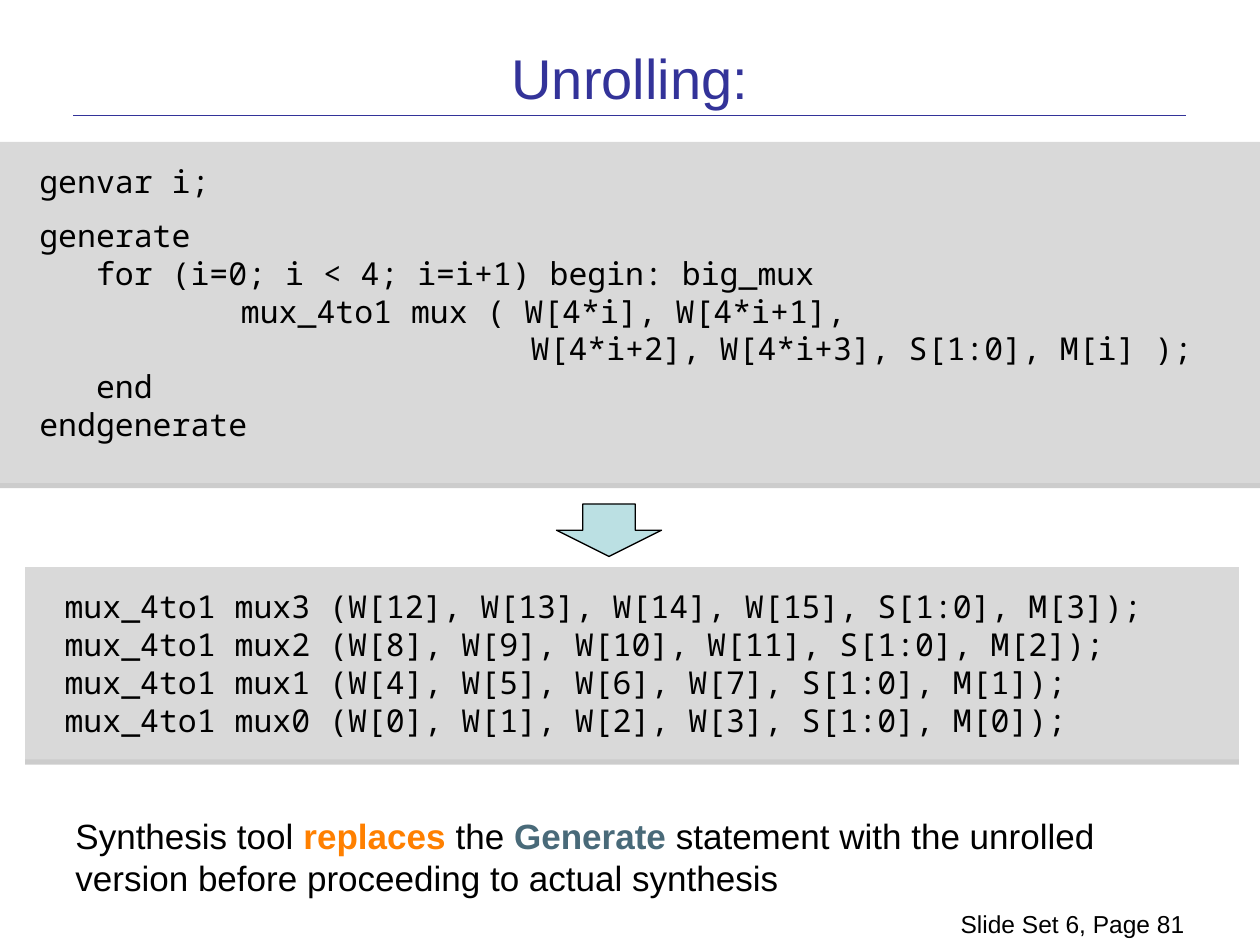
from lxml.etree import SubElement
from pptx import Presentation
from pptx.dml.color import RGBColor
from pptx.enum.shapes import MSO_CONNECTOR as Connector, MSO_SHAPE as Shape
from pptx.enum.text import MSO_ANCHOR as Anchor, PP_ALIGN as Align
from pptx.oxml import parse_xml
from pptx.oxml.ns import nsdecls, qn
from pptx.util import Pt

CHAR = 10.8  # width of one code character at 18 pt


def color(hex_code):
    return RGBColor.from_string(hex_code)


class SlideBuilder:
    sans, mono = "Arial", "Noto Sans Mono"
    black, navy, grey = "000000", "333399", "D9D9D9"

    def __init__(self, slide):
        self.slide = slide

    def style(self, paragraph, font, size, hex_code, align=Align.LEFT):
        paragraph.alignment = align
        paragraph.font.name = font
        paragraph.font.size = Pt(size)
        paragraph.font.color.rgb = color(hex_code)

    def title(self, text, left, top, width, height):
        title = self.slide.shapes.title
        title.left, title.top = Pt(left), Pt(top)
        title.width, title.height = Pt(width), Pt(height)
        title.text_frame.text = text
        title.text_frame.vertical_anchor = Anchor.MIDDLE
        self.style(title.text_frame.paragraphs[0], self.sans, 32, self.navy, Align.CENTER)

    def rule(self, left, right, y):
        rule = self.slide.shapes.add_connector(
            Connector.STRAIGHT, Pt(left), Pt(y), Pt(right), Pt(y))
        rule.line.color.rgb = color(self.navy)
        rule.line.width = Pt(0.75)
        SubElement(rule._element.spPr, qn("a:effectLst"))

    def shape(self, kind, fill, left, top, width, height):
        shape = self.slide.shapes.add_shape(kind, Pt(left), Pt(top), Pt(width), Pt(height))
        shape.shadow.inherit = False
        shape.fill.solid()
        shape.fill.fore_color.rgb = color(fill)
        return shape

    def code(self, lines, left, top, width, height):
        """Each line is (text, indent, space before), both lengths in points."""
        panel = self.shape(Shape.RECTANGLE, self.grey, left, top, width, height)
        panel.line.fill.background()
        effects = panel._element.spPr.find(qn("a:effectLst"))
        effects.append(parse_xml(
            f'<a:outerShdw {nsdecls("a")} blurRad="0" dist="{Pt(3)}" dir="5400000" '
            'algn="t" rotWithShape="0"><a:srgbClr val="808080">'
            '<a:alpha val="40000"/></a:srgbClr></a:outerShdw>'))
        frame = panel.text_frame
        frame.word_wrap = True
        frame.vertical_anchor = Anchor.TOP
        frame.margin_left = frame.margin_right = Pt(22.5)
        frame.margin_top = frame.margin_bottom = Pt(11.5)
        for number, (text, indent, gap) in enumerate(lines):
            line = frame.add_paragraph() if number else frame.paragraphs[0]
            line.text = text
            line.space_before = Pt(gap)
            line._p.get_or_add_pPr().set("marL", str(Pt(indent)))
            self.style(line, self.mono, 18, self.black)

    def arrow(self, left, top, width, height):
        arrow = self.shape(Shape.DOWN_ARROW, "BBE0E3", left, top, width, height)
        arrow.line.color.rgb = color(self.black)
        arrow.line.width = Pt(0.75)

    def text(self, runs, size, left, top, width, height, align=Align.LEFT, gap=0):
        """Each run is (text, highlight color or None)."""
        box = self.slide.shapes.add_textbox(Pt(left), Pt(top), Pt(width), Pt(height))
        box.text_frame.word_wrap = True
        paragraph = box.text_frame.paragraphs[0]
        paragraph.space_before = Pt(gap)
        self.style(paragraph, self.sans, size, self.black, align)
        for words, highlight in runs:
            run = paragraph.add_run()
            run.text = words
            if highlight:
                run.font.bold = True
                run.font.color.rgb = color(highlight)


def main():
    deck = Presentation()
    deck.slide_width, deck.slide_height = Pt(720), Pt(540)
    page = SlideBuilder(deck.slides.add_slide(deck.slide_layouts[5]))

    # Heading
    page.rule(42, 678, 66)
    page.title("Unrolling:", 36, 21.6, 648, 44.64)

    # Generate statement
    page.code([
        ("genvar i;", 0, 0),
        ("generate", 0, 9.3),
        ("for (i=0; i < 4; i=i+1) begin: big_mux", 3 * CHAR, 0),
        ("mux_4to1 mux ( W[4*i], W[4*i+1],", 72 + 4 * CHAR, 0),
        ("W[4*i+2], W[4*i+3], S[1:0], M[i] );", 26 * CHAR, 0),
        ("end", 3 * CHAR, 0),
        ("endgenerate", 0, 0),
    ], 0, 81, 720, 195)

    # Unrolled instances, highest first
    instances = []
    for mux in reversed(range(4)):
        inputs = ", ".join(f"W[{4 * mux + k}]" for k in range(4))
        instances.append((f"mux_4to1 mux{mux} ({inputs}, S[1:0], M[{mux}]);", 0, 0))
    page.code(instances, 14.4, 324, 693.5, 110)

    # Explanation
    page.text([
        ("Synthesis tool ", None),
        ("replaces ", "FF8000"),
        ("the ", None),
        ("Generate ", "496A79"),
        ("statement with the unrolled version before proceeding to actual synthesis", None),
    ], 20, 36, 462, 666, 72, gap=4)

    page.arrow(318, 288, 60, 30)

    # Page number
    page.text([("Slide Set 6, Page 81", None)], 14, 516, 516, 168, 24, Align.RIGHT)

    deck.save("out.pptx")


if __name__ == "__main__":
    main()
